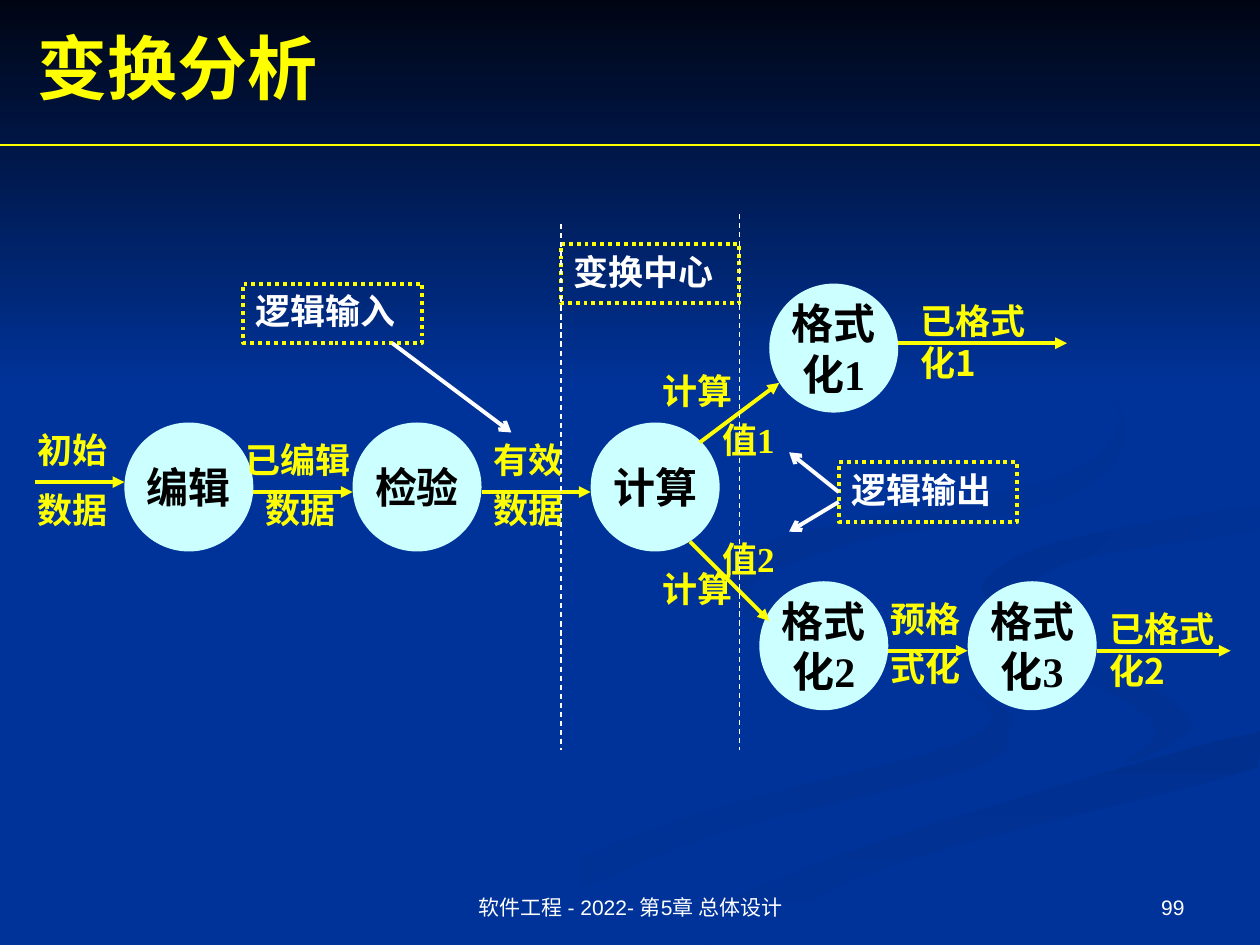
from dataclasses import dataclass

from lxml.etree import SubElement
from pptx import Presentation
from pptx.dml.color import RGBColor
from pptx.enum.dml import MSO_LINE
from pptx.enum.shapes import MSO_CONNECTOR, MSO_SHAPE
from pptx.enum.text import MSO_ANCHOR, MSO_AUTO_SIZE, PP_ALIGN
from pptx.oxml.ns import qn
from pptx.util import Inches, Mm, Pt


@dataclass(frozen=True)
class Theme:
    back: str = "003399"
    shade: str = "002F8E"
    haze: str = "003193"
    night: str = "000514"
    accent: str = "FFFF00"
    light: str = "FFFFFF"
    bubble: str = "CCFFFF"
    ink: str = "000000"
    serif: str = "Times New Roman"
    sans: str = "Arial"
    cjk: str = "Noto Sans CJK SC"
    title: int = 40
    node: int = 24
    label: int = 20
    footer: int = 12
    thick: float = 2.25
    thin: float = 0.75


THEME = Theme()
WIDTH, HEIGHT = Inches(10), Inches(7.5)

# The diagram sits on a 2 mm grid
STEP = Mm(2)
LEFT, TOP = Inches(0.2), Inches(1.7)
NODE = 13

# Background ribbons: outline in inches, gradient ends, angle
RIBBONS = [
    ([(7.8, 5.53), (6.1, 4.95), (5.75, 4.6), (6.1, 5), (7.7, 5.5), (7.6, 5.9),
      (5.4, 6.5), (3, 7.49), (3.6, 7.49), (5.6, 6.65), (7.7, 6.1), (8, 5.8)],
     THEME.back, THEME.haze, 0),
    ([(9.43, 5.7), (8.9, 5.35), (7.6, 5), (7.24, 4.64), (7.5, 5), (8.8, 5.5),
      (9.18, 5.8), (8.94, 6.05), (9.3, 5.9)], THEME.back, THEME.haze, 45),
    ([(5.03, 7.49), (5.7, 7.49), (7.2, 6.82), (9.98, 6.09), (9.98, 5.81), (7.64, 6.47),
      (6.3, 6.93)], THEME.shade, THEME.back, 90),
    ([(7.82, 4.6), (7.9, 4.8), (8.26, 4.96), (8.05, 4.75), (8.6, 4.43), (9.98, 4.2),
      (9.98, 4.02), (8.4, 4.3)], THEME.shade, THEME.back, 45),
    ([(6.8, 4.3), (8.4, 3.97), (8.94, 3.44), (8.5, 2.8), (7.62, 2.33), (8.5, 2.8),
      (8.89, 3.35), (8.3, 3.82), (6.2, 4.27), (5.77, 4.62), (6.22, 5), (5.95, 4.65)],
     THEME.shade, THEME.back, 45),
]
CURVE_STEPS = 5

# Diagram parts in grid columns and rows
NODES = [("计算", 57, 21), ("格式\n化1", 75, 7), ("格式\n化2", 74, 37),
         ("格式\n化3", 95, 37), ("检验", 33, 21), ("编辑", 10, 21)]
FLOWS = [(1, 27, 10, 27), (23, 28, 33, 28), (46, 28, 57, 28), (68, 23, 76, 17),
         (67, 33, 75, 41), (87, 44, 95, 44), (108, 44, 121.5, 44), (88, 13, 105, 13)]
LABELS = [("初始", 0, 21), ("数据", 0, 27), ("已编辑", 21, 22), ("数据", 23, 27),
          ("有效", 46, 22), ("数据", 46, 27), ("计算", 63, 15), ("计算", 63, 35),
          ("预格", 86, 38), ("式化", 86, 43), ("值1", 69, 20), ("值2", 69, 32)]
RESULTS = [("已格式化1", 89, 8), ("已格式化2", 108, 39)]
CALLOUTS = [("逻辑输入", 22, 7), ("变换中心", 54, 3), ("逻辑输出", 82, 25)]
POINTERS = [(37, 13, 49, 22), (82, 28, 77, 24), (82, 29, 77, 32)]
BORDERS = [(54, 1, 54, 54), (72, 0, 72, 54)]


def rgb(value):
    return RGBColor.from_string(value)


def place(column, row):
    return round(LEFT + column * STEP), round(TOP + row * STEP)


def cells(*counts):
    return [round(count * STEP) for count in counts]


def write(box, text, size, color, font=THEME.serif, bold=True,
          align=PP_ALIGN.LEFT, anchor=MSO_ANCHOR.TOP, wrap=True):
    frame = box.text_frame
    frame.text = text
    frame.auto_size = MSO_AUTO_SIZE.NONE
    frame.word_wrap = wrap
    frame.vertical_anchor = anchor
    for para in frame.paragraphs:
        para.alignment = align
        para.font.name, para.font.size, para.font.bold = font, Pt(size), bold
        para.font.color.rgb = rgb(color)


def spline(a, b, c, d, t):
    """Point at share t between b and c, with neighbours a and d."""
    return b + t * (c - a + t * (2 * a - 5 * b + 4 * c - d
                                 + t * (3 * (b - c) + d - a))) / 2


def smooth(points):
    count = len(points)
    for index in range(count):
        near = [points[(index + shift) % count] for shift in (-1, 0, 1, 2)]
        for step in range(CURVE_STEPS):
            x, y = (spline(*axis, step / CURVE_STEPS) for axis in zip(*near))
            yield min(Inches(x), WIDTH), min(Inches(y), HEIGHT)


def shade(shape, first, last, angle):
    shape.shadow.inherit = False
    shape.line.fill.background()
    shape.fill.gradient()
    shape.fill.gradient_angle = (360 - angle) % 360
    for stop, color in zip(shape.fill.gradient_stops, (first, last)):
        stop.color.rgb = rgb(color)


def add_ribbon(page, points, first, last, angle):
    start, *others = smooth(points)
    builder = page.shapes.build_freeform(*start)
    builder.add_line_segments(others, close=True)
    shade(builder.convert_to_shape(), first, last, angle)


def add_line(page, start, end, color, width, head=None, dash=None):
    line = page.shapes.add_connector(MSO_CONNECTOR.STRAIGHT, *start, *end)
    line.line.color.rgb = rgb(color)
    line.line.width = Pt(width)
    if dash:
        line.line.dash_style = dash
    properties = line._element.spPr
    if head:
        SubElement(properties.find(qn("a:ln")), qn("a:tailEnd"), type=head)
    SubElement(properties, qn("a:effectLst"))


def add_grid_lines(page, lines, color, width, head=None, dash=None):
    for x1, y1, x2, y2 in lines:
        add_line(page, place(x1, y1), place(x2, y2), color, width, head, dash)


def add_node(page, text, column, row):
    node = page.shapes.add_shape(MSO_SHAPE.OVAL, *place(column, row), *cells(NODE, NODE))
    node.shadow.inherit = False
    node.fill.solid()
    node.fill.fore_color.rgb = rgb(THEME.bubble)
    node.line.fill.background()
    write(node, text, THEME.node, THEME.ink, align=PP_ALIGN.CENTER,
          anchor=MSO_ANCHOR.MIDDLE, wrap=False)


def add_label(page, text, column, row, width, height=5.5, font=THEME.serif):
    box = page.shapes.add_textbox(*place(column, row), *cells(width, height))
    write(box, text, THEME.label, THEME.accent, font)


def add_callout(page, text, column, row):
    box = page.shapes.add_shape(MSO_SHAPE.RECTANGLE, *place(column, row), *cells(18, 6))
    box.shadow.inherit = False
    box.fill.background()
    box.line.color.rgb = rgb(THEME.accent)
    box.line.width = Pt(THEME.thick)
    box.line.dash_style = MSO_LINE.ROUND_DOT
    write(box, text, THEME.label, THEME.light)


def add_footer(page, text, left, width, align):
    box = page.shapes.add_textbox(Inches(left), Inches(6.83), Inches(width), Inches(0.52))
    write(box, text, THEME.footer, THEME.light, THEME.sans, False, align, MSO_ANCHOR.BOTTOM)


def main():
    deck = Presentation()
    deck.slide_width, deck.slide_height = WIDTH, HEIGHT
    page = deck.slides.add_slide(deck.slide_layouts[5])

    # Background
    page.background.fill.solid()
    page.background.fill.fore_color.rgb = rgb(THEME.back)
    for ribbon in RIBBONS:
        add_ribbon(page, *ribbon)
    sky = page.shapes.add_shape(MSO_SHAPE.RECTANGLE, 0, 0, WIDTH, Inches(3.08))
    shade(sky, THEME.night, THEME.back, 90)

    # Title and rule, with the title brought in front of the background
    title = page.shapes.title
    title.left, title.top = LEFT, Inches(0.14)
    title.width, title.height = WIDTH - LEFT, Inches(0.77)
    write(title, "变换分析", THEME.title, THEME.accent, anchor=MSO_ANCHOR.MIDDLE)
    title._element.getparent().append(title._element)
    rule = Inches(1.15)
    add_line(page, (0, rule), (WIDTH, rule), THEME.accent, THEME.thin)

    # Data flow diagram
    for node in NODES:
        add_node(page, *node)
    add_grid_lines(page, FLOWS, THEME.accent, THEME.thick, head="triangle")
    for label in LABELS:
        add_label(page, *label, width=5 * max(2, len(label[0])))
    for result in RESULTS:
        add_label(page, *result, 13.5, 9.8, THEME.cjk)

    # Callouts and borders of the transform centre
    for callout in CALLOUTS:
        add_callout(page, *callout)
    add_grid_lines(page, POINTERS, THEME.light, THEME.thick, head="arrow")
    add_grid_lines(page, BORDERS, THEME.light, THEME.thin, dash=MSO_LINE.DASH)

    # Footer
    add_footer(page, "软件工程 - 2022- 第5章 总体设计", 3.42, 3.17, PP_ALIGN.CENTER)
    add_footer(page, "99", 7.17, 2.33, PP_ALIGN.RIGHT)
    deck.save("out.pptx")


if __name__ == "__main__":
    main()
